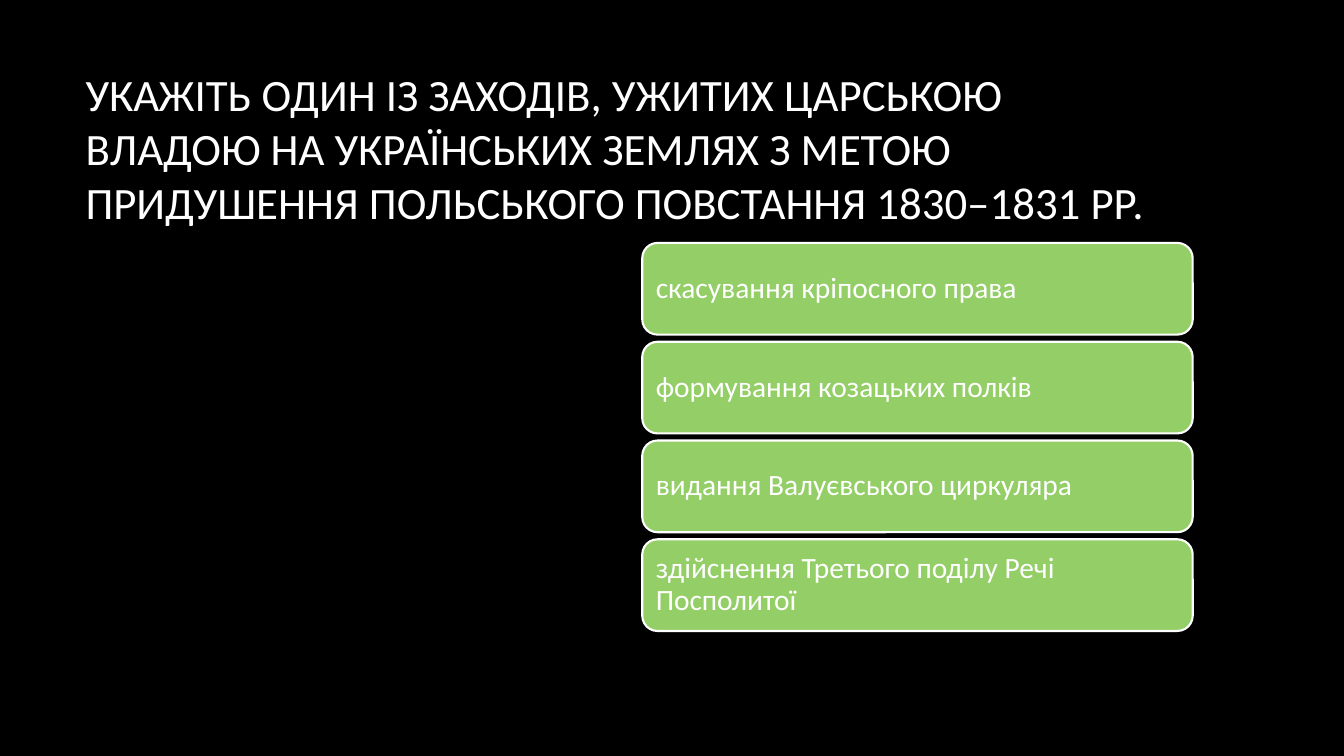
from pptx import Presentation
from pptx.dml.color import RGBColor
from pptx.enum.shapes import MSO_SHAPE
from pptx.enum.text import MSO_ANCHOR, PP_ALIGN
from pptx.util import Inches, Pt

BLACK = RGBColor(0x00, 0x00, 0x00)
WHITE = RGBColor(0xFF, 0xFF, 0xFF)
GREEN = RGBColor(0x94, 0xCE, 0x67)

QUESTION = ("УКАЖІТЬ ОДИН ІЗ ЗАХОДІВ, УЖИТИХ ЦАРСЬКОЮ ВЛАДОЮ НА УКРАЇНСЬКИХ "
            "ЗЕМЛЯХ З МЕТОЮ ПРИДУШЕННЯ ПОЛЬСЬКОГО ПОВСТАННЯ 1830–1831 РР.")
ANSWERS = [
    "скасування кріпосного права",
    "формування козацьких полків",
    "видання Валуєвського циркуляра",
    "здійснення Третього поділу Речі Посполитої",
]
ANSWER_TOP, ANSWER_STEP = 2.41, 0.98


def write(shape, text, size):
    """Fill the shape with left-aligned white text, centred vertically."""
    frame = shape.text_frame
    frame.word_wrap = True
    frame.vertical_anchor = MSO_ANCHOR.MIDDLE
    paragraph = frame.paragraphs[0]
    paragraph.text = text
    paragraph.alignment = PP_ALIGN.LEFT
    font = paragraph.runs[0].font
    font.name = "Calibri"
    font.size = Pt(size)
    font.color.rgb = WHITE


prs = Presentation()
prs.slide_width, prs.slide_height = Inches(13.33), Inches(7.5)
slide = prs.slides.add_slide(prs.slide_layouts[6])
slide.background.fill.solid()
slide.background.fill.fore_color.rgb = BLACK

question = slide.shapes.add_textbox(Inches(0.75), Inches(0.67), Inches(11.08), Inches(1.59))
write(question, QUESTION, 32)

for row, text in enumerate(ANSWERS):
    answer = slide.shapes.add_shape(
        MSO_SHAPE.ROUNDED_RECTANGLE,
        Inches(6.37), Inches(ANSWER_TOP + row * ANSWER_STEP), Inches(5.46), Inches(0.91))
    answer.shadow.inherit = False
    answer.fill.solid()
    answer.fill.fore_color.rgb = GREEN
    answer.line.color.rgb = WHITE
    answer.line.width = Pt(1.5)
    write(answer, text, 21)
    answer.text_frame.paragraphs[0].line_spacing = 0.9
    for side in ("left", "top", "right", "bottom"):
        setattr(answer.text_frame, f"margin_{side}", Inches(0.09))

prs.save("out.pptx")
